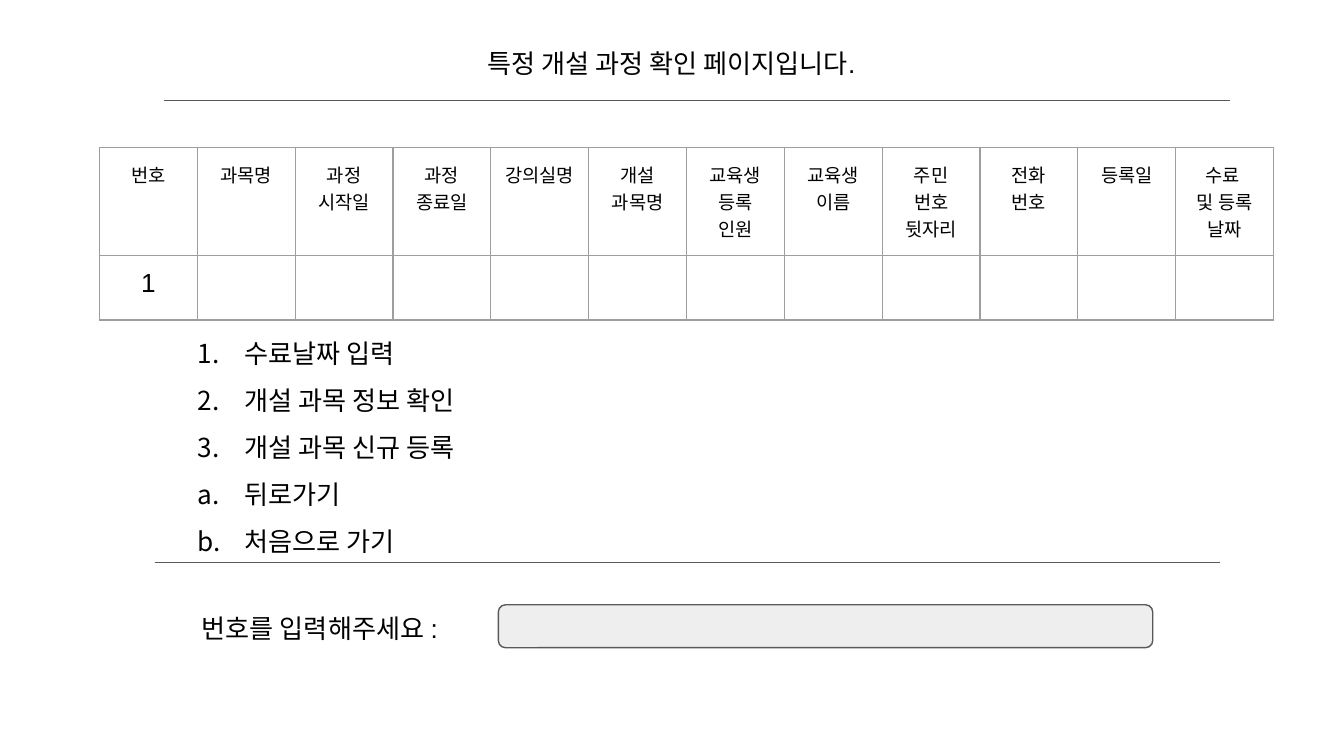
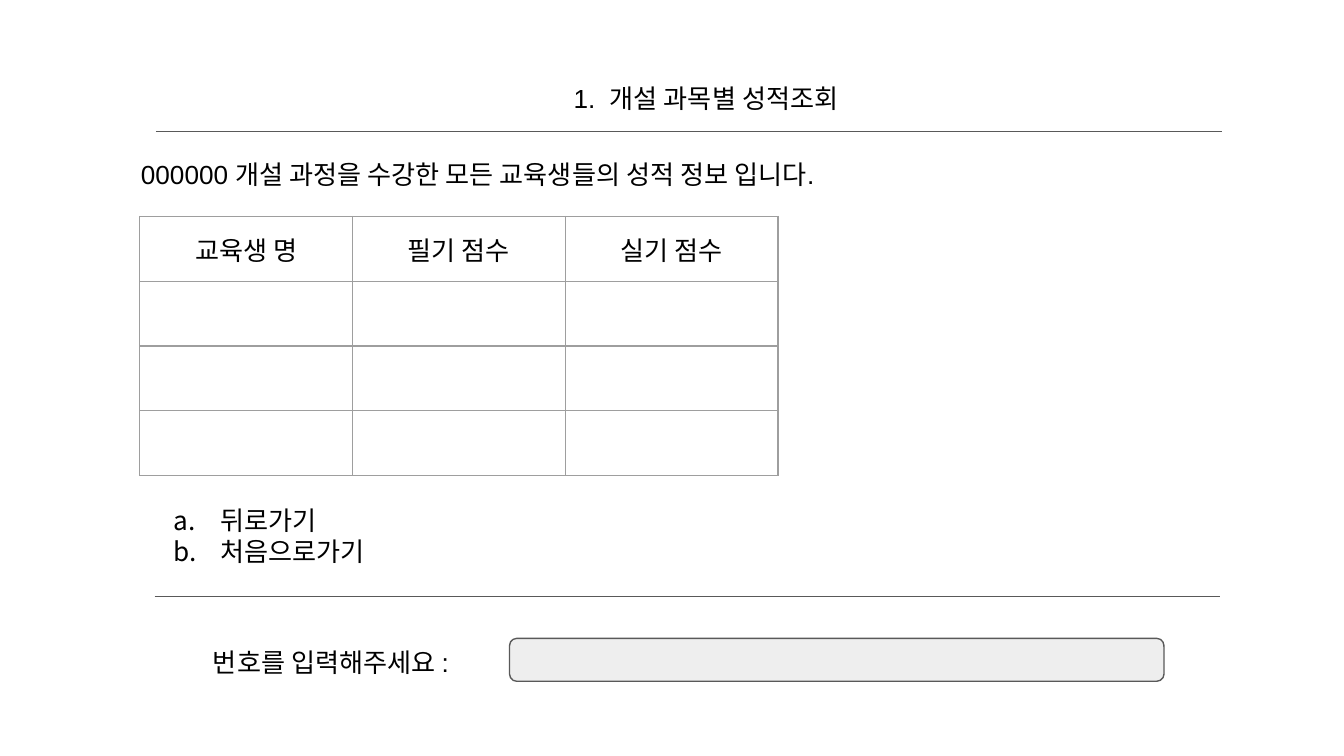
from dataclasses import dataclass

from lxml.etree import SubElement
from pptx import Presentation
from pptx.dml.color import RGBColor
from pptx.enum.shapes import MSO_CONNECTOR as Connector, MSO_SHAPE as Preset
from pptx.enum.text import MSO_ANCHOR as Anchor, MSO_AUTO_SIZE as AutoSize, PP_ALIGN as Align
from pptx.oxml.ns import qn
from pptx.slide import Slide
from pptx.text.text import TextFrame
from pptx.util import Pt


# Theme
@dataclass(frozen=True)
class Theme:
    font: str = "Arial"
    text: str = "000000"
    rule: str = "595959"
    field: str = "EEEEEE"
    grid: str = "9E9E9E"
    body_size: float = 14
    header_size: float = 10
    line_width: float = 0.75
    inset: float = 7.2
    list_margin: float = 36
    list_hang: float = 25


THEME = Theme()


# Elements, all lengths in points
@dataclass(frozen=True)
class Frame:
    left: float
    top: float
    width: float
    height: float

    def lengths(self) -> tuple[Pt, Pt, Pt, Pt]:
        return Pt(self.left), Pt(self.top), Pt(self.width), Pt(self.height)


@dataclass(frozen=True)
class Heading:
    text: str
    frame: Frame
    margin: float = 0
    spacing: float = 1.0


@dataclass(frozen=True)
class Menu:
    numbered: tuple[str, ...]
    lettered: tuple[str, ...]
    frame: Frame
    spacing: float = 1.0


@dataclass(frozen=True)
class Grid:
    left: float
    top: float
    column_width: float
    row_heights: tuple[float, ...]
    rows: tuple[tuple[str, ...], ...]
    header_size: float = THEME.body_size


@dataclass(frozen=True)
class Rule:
    left: float
    top: float
    width: float = 571


@dataclass(frozen=True)
class Prompt:
    field_left: float
    field_top: float
    text: str = "번호를 입력해주세요 :"


@dataclass(frozen=True)
class Screen:
    heading: Heading
    menu: Menu
    grid: Grid
    rules: tuple[Rule, ...]
    prompt: Prompt
    intro: str = ""


# Drawing helpers
def color(value: str) -> RGBColor:
    return RGBColor.from_string(value)


def write(text_frame: TextFrame, lines: tuple[str, ...], size: float = THEME.body_size,
          align: Align = Align.LEFT, spacing: float = 1.0) -> None:
    text_frame.text = "\n".join(lines)
    for para in text_frame.paragraphs:
        para.alignment = align
        para.line_spacing = spacing
        para.space_before = Pt(0)
        para.font.name = THEME.font
        para.font.size = Pt(size)
        para.font.color.rgb = color(THEME.text)


def set_up(text_frame: TextFrame) -> None:
    text_frame.word_wrap = True
    text_frame.auto_size = AutoSize.NONE
    text_frame.vertical_anchor = Anchor.TOP
    text_frame.margin_left = text_frame.margin_right = Pt(THEME.inset)
    text_frame.margin_top = text_frame.margin_bottom = Pt(THEME.inset)


def place(shape, frame: Frame) -> None:
    shape.left, shape.top, shape.width, shape.height = frame.lengths()
    set_up(shape.text_frame)


def draw_heading(page: Slide, heading: Heading) -> None:
    title = page.shapes.title
    place(title, heading.frame)
    write(title.text_frame, (heading.text,), align=Align.CENTER, spacing=heading.spacing)
    properties = title.text_frame.paragraphs[0]._p.get_or_add_pPr()
    properties.set("marL", str(Pt(heading.margin)))
    properties.set("indent", "0")


def draw_menu(page: Slide, menu: Menu) -> None:
    body = page.placeholders[1]
    place(body, menu.frame)
    write(body.text_frame, menu.numbered + menu.lettered, spacing=menu.spacing)
    for index, para in enumerate(body.text_frame.paragraphs):
        scheme = "arabicPeriod" if index < len(menu.numbered) else "alphaLcPeriod"
        properties = para._p.get_or_add_pPr()
        properties.set("marL", str(Pt(THEME.list_margin)))
        properties.set("indent", str(-Pt(THEME.list_hang)))
        bullet = SubElement(properties, qn("a:buAutoNum"), type=scheme)
        properties.find(qn("a:defRPr")).addprevious(bullet)


def draw_text(page: Slide, text: str, frame: Frame) -> None:
    box = page.shapes.add_textbox(*frame.lengths())
    set_up(box.text_frame)
    write(box.text_frame, (text,))


def draw_rule(page: Slide, rule: Rule) -> None:
    line = page.shapes.add_connector(Connector.STRAIGHT, Pt(rule.left), Pt(rule.top),
                                     Pt(rule.left + rule.width), Pt(rule.top))
    line.line.color.rgb = color(THEME.rule)
    line.line.width = Pt(THEME.line_width)
    SubElement(line._element.spPr, qn("a:effectLst"))


def draw_borders(cell) -> None:
    properties = cell._tc.get_or_add_tcPr()
    for side in ("lnL", "lnR", "lnT", "lnB"):
        edge = SubElement(properties, qn(f"a:{side}"), w=str(Pt(THEME.line_width)))
        fill = SubElement(edge, qn("a:solidFill"))
        SubElement(fill, qn("a:srgbClr"), val=THEME.grid)


def draw_grid(page: Slide, grid: Grid) -> None:
    columns = len(grid.rows[0])
    frame = Frame(grid.left, grid.top, grid.column_width * columns, sum(grid.row_heights))
    table = page.shapes.add_table(len(grid.row_heights), columns, *frame.lengths()).table
    table.first_row = table.horz_banding = False
    for column in table.columns:
        column.width = Pt(grid.column_width)
    for row, height in enumerate(grid.row_heights):
        table.rows[row].height = Pt(height)
        texts = grid.rows[row] if row < len(grid.rows) else ()
        for column in range(columns):
            cell = table.cell(row, column)
            text = texts[column] if column < len(texts) else ""
            cell.margin_left = cell.margin_right = Pt(THEME.inset)
            cell.margin_top = cell.margin_bottom = Pt(THEME.inset)
            size = THEME.body_size if row else grid.header_size
            write(cell.text_frame, (text,), size, Align.CENTER)
            draw_borders(cell)
            cell.fill.background()


def draw_prompt(page: Slide, prompt: Prompt) -> None:
    frame = Frame(prompt.field_left, prompt.field_top, 350.6, 23)
    field = page.shapes.add_shape(Preset.ROUNDED_RECTANGLE, *frame.lengths())
    field.shadow.inherit = False
    field.fill.solid()
    field.fill.fore_color.rgb = color(THEME.field)
    field.line.color.rgb = color(THEME.rule)
    field.line.width = Pt(THEME.line_width)
    draw_text(page, prompt.text, Frame(frame.left - 166, frame.top - 2.9, 157.7, 28.8))


def draw_screen(deck, screen: Screen) -> None:
    page = deck.slides.add_slide(deck.slide_layouts[1])
    draw_heading(page, screen.heading)
    draw_grid(page, screen.grid)
    if screen.intro:
        draw_text(page, screen.intro, Frame(68.4, 77.8, 593.3, 27.4))
    draw_menu(page, screen.menu)
    for rule in screen.rules:
        draw_rule(page, rule)
    draw_prompt(page, screen.prompt)


# Content
COURSE_SCREEN = Screen(
    heading=Heading("특정 개설 과정 확인 페이지입니다.", Frame(202.3, 18, 314.6, 50.4)),
    menu=Menu(("수료날짜 입력", "개설 과목 정보 확인", "개설 과목 신규 등록"),
              ("뒤로가기", "처음으로 가기"), Frame(87.8, 164.9, 236.2, 81.4), 1.5),
    grid=Grid(53.3, 79.2, 52.42, (57.3, 34.6), (
        ("번호", "과목명", "과정\n시작일", "과정\n종료일", "강의실명", "개설\n과목명",
         "교육생 등록\n인원", "교육생 이름", "주민\n번호 뒷자리", "전화\n번호", "등록일",
         "수료 \n및 등록\n날짜"),
        ("1",)), THEME.header_size),
    rules=(Rule(87.8, 53.8), Rule(82.8, 301.5)),
    prompt=Prompt(267, 324),
)

SCORE_SCREEN = Screen(
    heading=Heading("1.  개설 과목별 성적조회", Frame(239, 34.6, 242.6, 50.4), 36, 1.15),
    menu=Menu((), ("뒤로가기", "처음으로가기"), Frame(74.9, 262.8, 580.3, 54.7)),
    grid=Grid(74.9, 116, 114, (34.6,) * 4, (("교육생 명", "필기 점수", "실기 점수"),)),
    rules=(Rule(83.5, 70.4), Rule(82.8, 319.5)),
    prompt=Prompt(273, 342),
    intro="000000 개설 과정을 수강한 모든 교육생들의 성적 정보 입니다.",
)


def main() -> None:
    deck = Presentation()
    deck.slide_width, deck.slide_height = Pt(720), Pt(405)
    for screen in (COURSE_SCREEN, SCORE_SCREEN):
        draw_screen(deck, screen)
    deck.save("out.pptx")


if __name__ == "__main__":
    main()
